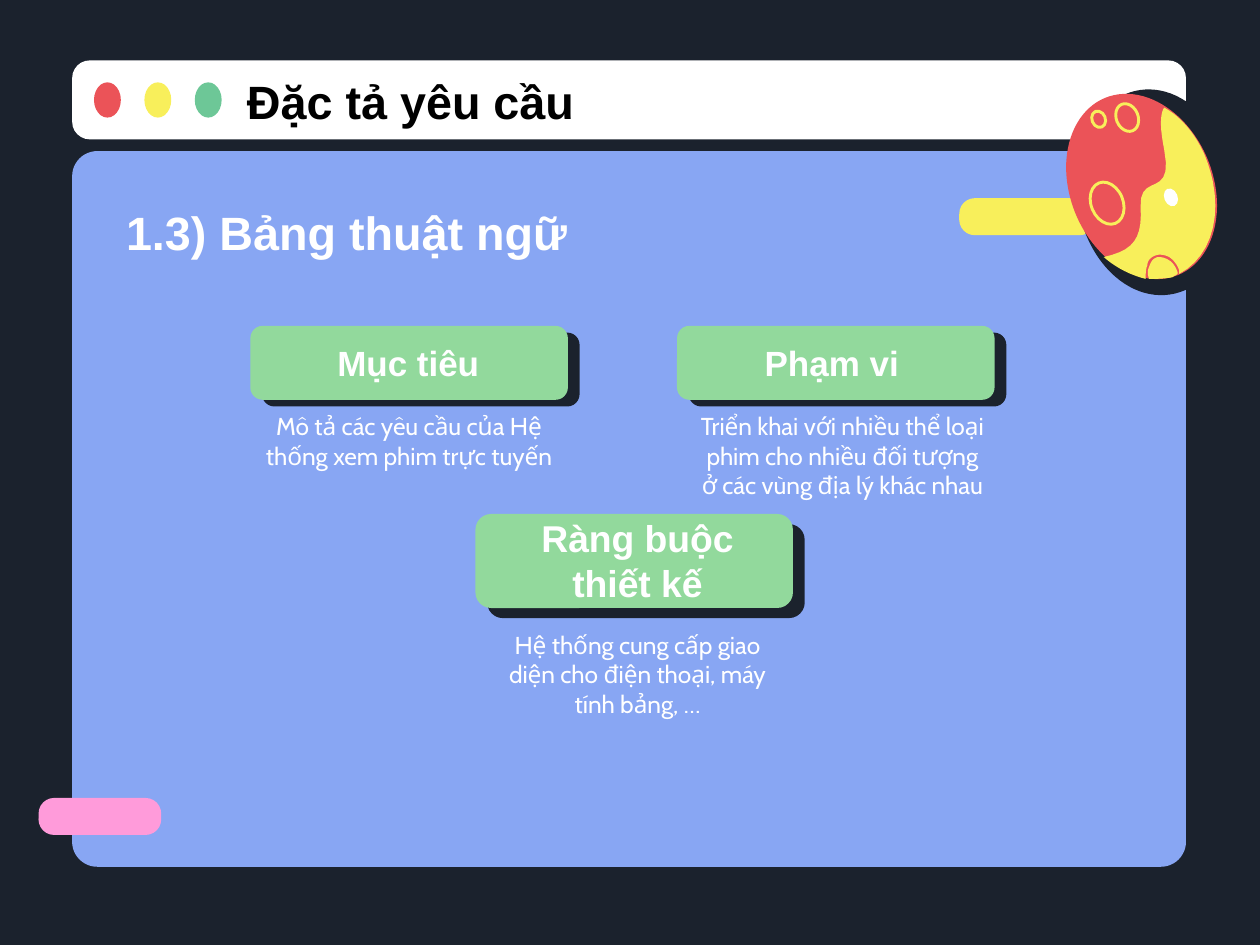
from pptx import Presentation
from pptx.dml.color import RGBColor
from pptx.enum import shapes, text
from pptx.util import Inches, Pt

THEME = {
    "night": "1B222D", "panel": "88A6F3", "white": "FFFFFF", "black": "000000",
    "red": "EB5358", "yellow": "F8EF5B", "green": "6DC797", "button": "92D99C",
    "pink": "FF9BDA", "heading": 20, "caption": 10.5,
    "display_font": "Arial", "caption_font": "Cabin",
}
PAGE_WIDTH = 7.5
PAGE = (PAGE_WIDTH, PAGE_WIDTH * 3 / 4)
HEADING = ("Đặc tả yêu cầu", (1.39, 0.29, 4.19, 0.62))
SECTION = ("1.3) Bảng thuật ngữ", (0.67, 1.07, 4.19, 0.62))
CARDS = [
    {"label": "Mục tiêu", "size": 15, "button": (1.49, 1.94, 1.89, 0.44),
     "label_x": (1.77, 1.32), "drop": 0.04, "caption_at": (1.49, 2.37),
     "caption": "Mô tả các yêu cầu của Hệ thống xem phim trực tuyến"},
    {"label": "Phạm vi ", "size": 15, "button": (4.03, 1.94, 1.89, 0.44),
     "label_x": (4.32, 1.32), "drop": 0.04, "caption_at": (4.07, 2.37),
     "caption": "Triển khai với nhiều thể loại phim cho nhiều đối tượng "
                "ở các vùng địa lý khác nhau"},
    {"label": "Ràng buộc thiết kế", "size": 16, "button": (2.83, 3.06, 1.89, 0.56),
     "label_x": (3.09, 1.41), "drop": 0.06, "caption_at": (2.85, 3.67),
     "caption": "Hệ thống cung cấp giao diện cho điện thoại, máy tính bảng, …"},
]
LIGHTS = ["red", "yellow", "green"]
TILT = 337.6
CRATERS = [(6.54, 0.71, 0.08, 0.1), (6.71, 0.7, 0.13, 0.17), (6.59, 1.21, 0.19, 0.26)]
YOLK = [
    [(6.93, 0.64),
     (7.02, 0.69, 7.09, 0.77, 7.14, 0.86), (7.17, 0.91, 7.2, 0.99, 7.22, 1.08),
     (7.27, 1.33, 7.19, 1.54, 7.02, 1.63), (7.02, 1.62, 7.02, 1.62, 7.02, 1.61),
     (7.01, 1.58, 6.99, 1.55, 6.96, 1.53), (6.94, 1.52, 6.91, 1.51, 6.88, 1.52),
     (6.85, 1.53, 6.83, 1.55, 6.83, 1.58), (6.82, 1.6, 6.82, 1.63, 6.82, 1.66),
     (6.74, 1.64, 6.65, 1.6, 6.57, 1.53), (6.75, 1.49, 6.8, 1.42, 6.79, 1.23),
     (6.78, 1.02, 6.99, 1.19, 6.93, 0.89), (6.9, 0.74, 6.91, 0.67, 6.93, 0.64)],
    [(7.01, 1.63),
     (7.01, 1.63, 7.01, 1.62, 7.01, 1.62), (7, 1.59, 6.98, 1.56, 6.96, 1.55),
     (6.93, 1.53, 6.91, 1.53, 6.89, 1.53), (6.86, 1.54, 6.85, 1.56, 6.84, 1.59),
     (6.83, 1.61, 6.83, 1.63, 6.84, 1.66), (6.88, 1.66, 6.93, 1.66, 6.98, 1.65),
     (6.99, 1.64, 7, 1.64, 7.01, 1.63)],
]


def color(name):
    return RGBColor.from_string(THEME[name])


def paint(shape, fill=None, line=None):
    shape.shadow.inherit = False
    if fill:
        shape.fill.solid()
        shape.fill.fore_color.rgb = color(fill)
    else:
        shape.fill.background()
    if line:
        shape.line.color.rgb = color(line)
        shape.line.width = Pt(1.25)
    else:
        shape.line.fill.background()


def add_block(slide, box, fill, corner):
    block = slide.shapes.add_shape(
        shapes.MSO_SHAPE.ROUNDED_RECTANGLE, *map(Inches, box))
    block.adjustments[0] = corner
    paint(block, fill)


def add_oval(slide, box, fill=None, line=None, rotation=0):
    oval = slide.shapes.add_shape(shapes.MSO_SHAPE.OVAL, *map(Inches, box))
    oval.rotation = rotation
    paint(oval, fill, line)


def curve_points(start, curves, steps=10):
    points = [start]
    for ax, ay, bx, by, cx, cy in curves:
        sx, sy = points[-1]
        for step in range(1, steps + 1):
            t = step / steps
            weights = ((1 - t) ** 3, 3 * t * (1 - t) ** 2, 3 * t * t * (1 - t), t ** 3)
            points.append((sum(w * x for w, x in zip(weights, (sx, ax, bx, cx))),
                           sum(w * y for w, y in zip(weights, (sy, ay, by, cy)))))
    return [(Inches(x), Inches(y)) for x, y in points]


def add_yolk(slide):
    outer, crater = [curve_points(part[0], part[1:]) for part in YOLK]
    yolk = slide.shapes.build_freeform(*outer[0], scale=1.0)
    yolk.add_line_segments(outer[1:], close=True)
    yolk.move_to(*crater[0])
    yolk.add_line_segments(crater[1:], close=True)
    paint(yolk.convert_to_shape(), "yellow")


def put_text(slide, words, box, *, size, ink="white", font="display_font", bold=True,
             align=text.PP_ALIGN.CENTER, anchor=text.MSO_ANCHOR.MIDDLE, holder=None):
    left, top, width, height = map(Inches, box)
    if holder is None:
        holder = slide.shapes.add_textbox(left, top, width, height)
    else:
        holder.left, holder.top, holder.width, holder.height = left, top, width, height
        holder.element.getparent().append(holder.element)
    frame = holder.text_frame
    frame.word_wrap = True
    frame.auto_size = text.MSO_AUTO_SIZE.NONE
    frame.vertical_anchor = anchor
    frame.margin_left = frame.margin_right = Inches(0.08)
    frame.margin_top = frame.margin_bottom = Inches(0.08)
    frame.text = words
    paragraph = frame.paragraphs[0]
    paragraph.alignment = align
    paragraph.space_before = Pt(0)
    run_font = paragraph.runs[0].font
    run_font.name, run_font.size, run_font.bold = THEME[font], Pt(size), bold
    run_font.color.rgb = color(ink)


def add_window(slide):
    add_block(slide, (0.43, 0.9, 6.63, 4.26), "panel", 0.035)
    add_block(slide, (0.43, 0.36, 6.63, 0.47), "white", 0.223)
    for index, light in enumerate(LIGHTS):
        add_oval(slide, (0.56 + 0.3 * index, 0.49, 0.16, 0.21), light)
    add_block(slide, (5.71, 1.18, 0.81, 0.22), "yellow", 0.42)
    add_block(slide, (0.23, 4.75, 0.73, 0.22), "pink", 0.42)


def add_egg(slide):
    add_oval(slide, (6.41, 0.53, 0.93, 1.23), "night", rotation=351.7)
    add_oval(slide, (6.37, 0.54, 0.85, 1.14), "red", rotation=TILT)
    for x, y, width, height in CRATERS:
        add_oval(slide, (x - width / 2, y - height / 2, width, height),
                 line="yellow", rotation=TILT)
    add_yolk(slide)
    add_oval(slide, (6.93, 1.12, 0.08, 0.11), "white", rotation=TILT)


def add_card(slide, card):
    left, top, width, height = card["button"]
    label_left, label_width = card["label_x"]
    add_block(slide, (left + 0.07, top + card["drop"], width, height), "night", 0.167)
    add_block(slide, card["button"], "button", 0.167)
    put_text(slide, card["label"], (label_left, top, label_width, height - 0.01),
             size=card["size"])
    put_text(slide, card["caption"], (*card["caption_at"], width, 0.46),
             size=THEME["caption"], font="caption_font", bold=False,
             anchor=text.MSO_ANCHOR.TOP)


def main():
    """Build the glossary slide and save it."""
    deck = Presentation()
    deck.slide_width, deck.slide_height = map(Inches, PAGE)
    slide = deck.slides.add_slide(deck.slide_layouts[0])
    slide.background.fill.solid()
    slide.background.fill.fore_color.rgb = color("night")
    add_window(slide)
    add_egg(slide)
    for card in CARDS:
        add_card(slide, card)
    put_text(slide, *HEADING, size=THEME["heading"], ink="black",
             align=text.PP_ALIGN.LEFT, holder=slide.shapes.title)
    put_text(slide, *SECTION, size=THEME["heading"],
             align=text.PP_ALIGN.LEFT, holder=slide.placeholders[1])
    deck.save("out.pptx")


if __name__ == "__main__":
    main()
